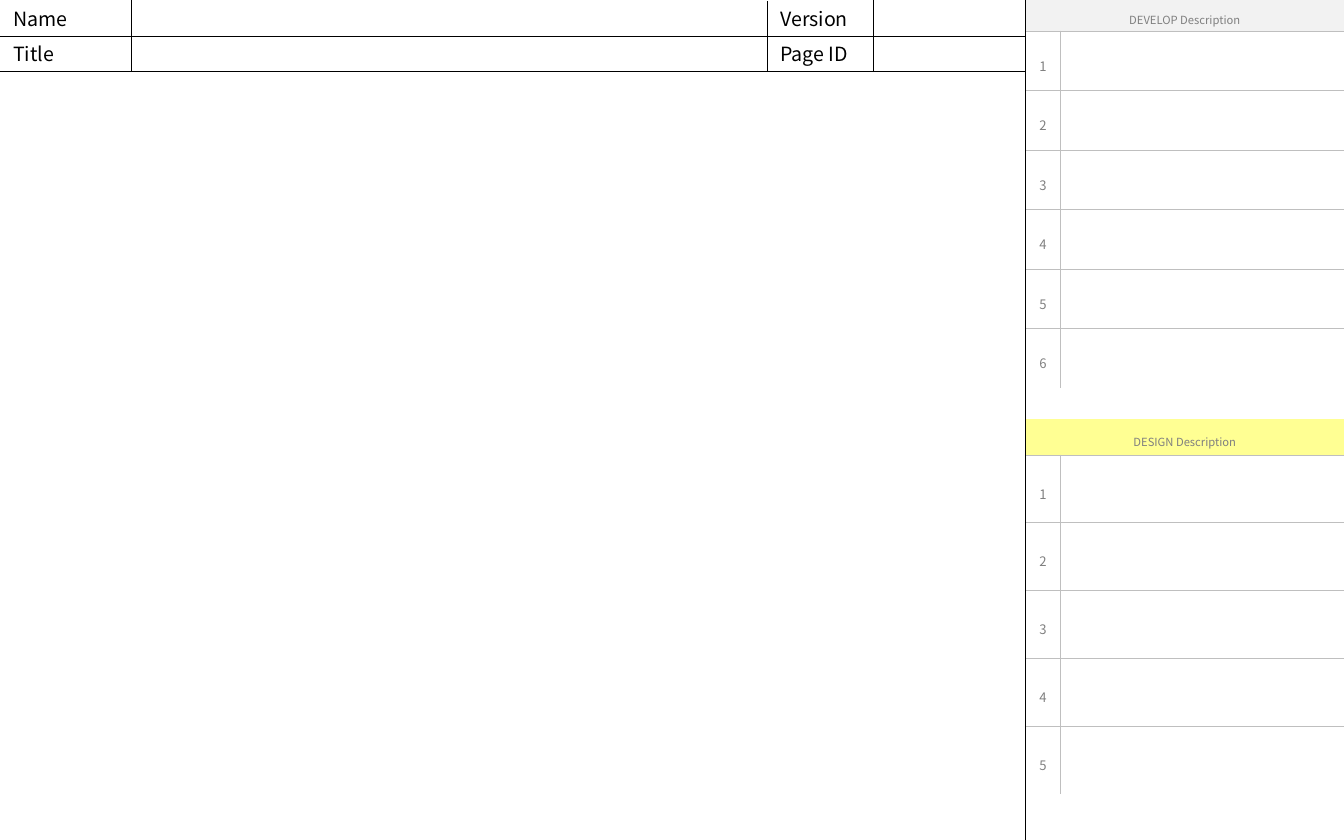
from lxml.etree import SubElement
from pptx import Presentation
from pptx.dml.color import RGBColor
from pptx.enum.shapes import MSO_CONNECTOR
from pptx.enum.text import MSO_ANCHOR, MSO_AUTO_SIZE, PP_ALIGN
from pptx.oxml.ns import qn
from pptx.util import Inches, Pt

FONT = "Noto Sans CJK KR"
BLACK = RGBColor(0x00, 0x00, 0x00)
GRAY = RGBColor(0x80, 0x80, 0x80)
BORDER = RGBColor(0xBF, 0xBF, 0xBF)
LIGHT_GRAY = RGBColor(0xF2, 0xF2, 0xF2)
YELLOW = RGBColor(0xFF, 0xFF, 0x93)

WIDTH, HEIGHT = 10, 6.25
SIDE = 7.63
HEADER_BOTTOM = 0.53
NUMBER_WIDTH = 0.26

DESCRIPTIONS = [
    {"title": "DEVELOP Description", "top": 0, "header": 0.23,
     "row": 0.443, "count": 6, "color": LIGHT_GRAY},
    {"title": "DESIGN Description", "top": 3.12, "header": 0.265,
     "row": 0.504, "count": 5, "color": YELLOW},
]
RULES = [
    (SIDE, 0, SIDE, HEIGHT),
    (SIDE, HEADER_BOTTOM, 0, HEADER_BOTTOM),
    (SIDE, 0.27, 0, 0.27),
    (0.98, 0, 0.98, HEADER_BOTTOM),
    (5.71, 0.01, 5.71, HEADER_BOTTOM),
    (6.5, 0, 6.5, HEADER_BOTTOM),
]
LABELS = [
    ("Name", 0, 0, 0.61),
    ("Title", 0, 0.26, 0.51),
    ("Page ID", 5.71, 0.26, 0.73),
    ("Version", 5.71, 0, 0.73),
]


def set_all(target, values):
    for name, value in values.items():
        setattr(target, name, value)


def write(frame, text, size, color):
    para = frame.paragraphs[0]
    span = para.add_run()
    span.text = text
    set_all(span.font, {"name": FONT, "size": Pt(size)})
    span.font.color.rgb = color
    properties = span.font._element
    SubElement(properties, qn("a:ea"), typeface=FONT)
    return para


def set_borders(cell, visible):
    properties = cell._tc.get_or_add_tcPr()
    for side in "LRTB":
        line = SubElement(properties, qn(f"a:ln{side}"), w=str(Pt(0.25)))
        if side in visible:
            fill = SubElement(line, qn("a:solidFill"))
            SubElement(fill, qn("a:srgbClr"), val=str(BORDER))
        else:
            SubElement(line, qn("a:noFill"))


def format_cell(cell, borders, color=None):
    set_borders(cell, borders)
    set_all(cell, {
        "vertical_anchor": MSO_ANCHOR.MIDDLE,
        "margin_left": Inches(0.1), "margin_right": Inches(0.1),
        "margin_top": 0, "margin_bottom": 0,
    })
    if color is None:
        cell.fill.background()
    else:
        cell.fill.solid()
        cell.fill.fore_color.rgb = color


def write_cell(cell, text, size):
    para = write(cell.text_frame, text, size, GRAY)
    set_all(para, {"alignment": PP_ALIGN.CENTER, "line_spacing": 1.5})


def add_description(page, item):
    count = item["count"]
    heights = [item["header"]] + [item["row"]] * count
    table = page.shapes.add_table(
        count + 1, 2, Inches(SIDE), Inches(item["top"]),
        Inches(WIDTH - SIDE), Inches(sum(heights))).table
    set_all(table, {"first_row": False, "horz_banding": False})
    for column, width in zip(table.columns, (NUMBER_WIDTH, WIDTH - SIDE - NUMBER_WIDTH)):
        column.width = Inches(width)
    for row, height in zip(table.rows, heights):
        row.height = Inches(height)

    table.cell(0, 0).merge(table.cell(0, 1))
    for column in range(2):
        format_cell(table.cell(0, column), "B", item["color"])
    write_cell(table.cell(0, 0), item["title"], 6)
    for number in range(1, count + 1):
        edges = "T" if number == count else "TB"
        format_cell(table.cell(number, 0), "R" + edges)
        format_cell(table.cell(number, 1), "L" + edges)
        write_cell(table.cell(number, 0), str(number), 7)


def add_rule(page, ends):
    rule = page.shapes.add_connector(
        MSO_CONNECTOR.STRAIGHT, *[Inches(value) for value in ends])
    rule.line.width = Pt(0.75)
    rule.line.color.rgb = BLACK
    SubElement(rule._element.spPr, qn("a:effectLst"))


def add_label(page, text, left, top, width):
    box = page.shapes.add_textbox(
        Inches(left), Inches(top), Inches(width), Inches(0.29))
    set_all(box.text_frame, {
        "word_wrap": False, "auto_size": MSO_AUTO_SIZE.SHAPE_TO_FIT_TEXT})
    write(box.text_frame, text, 10.5, BLACK)


def main():
    deck = Presentation()
    set_all(deck, {"slide_width": Inches(WIDTH), "slide_height": Inches(HEIGHT)})
    page = deck.slides.add_slide(deck.slide_layouts[6])
    for item in DESCRIPTIONS:
        add_description(page, item)
    for ends in RULES:
        add_rule(page, ends)
    for label in LABELS:
        add_label(page, *label)
    deck.save("out.pptx")


if __name__ == "__main__":
    main()
